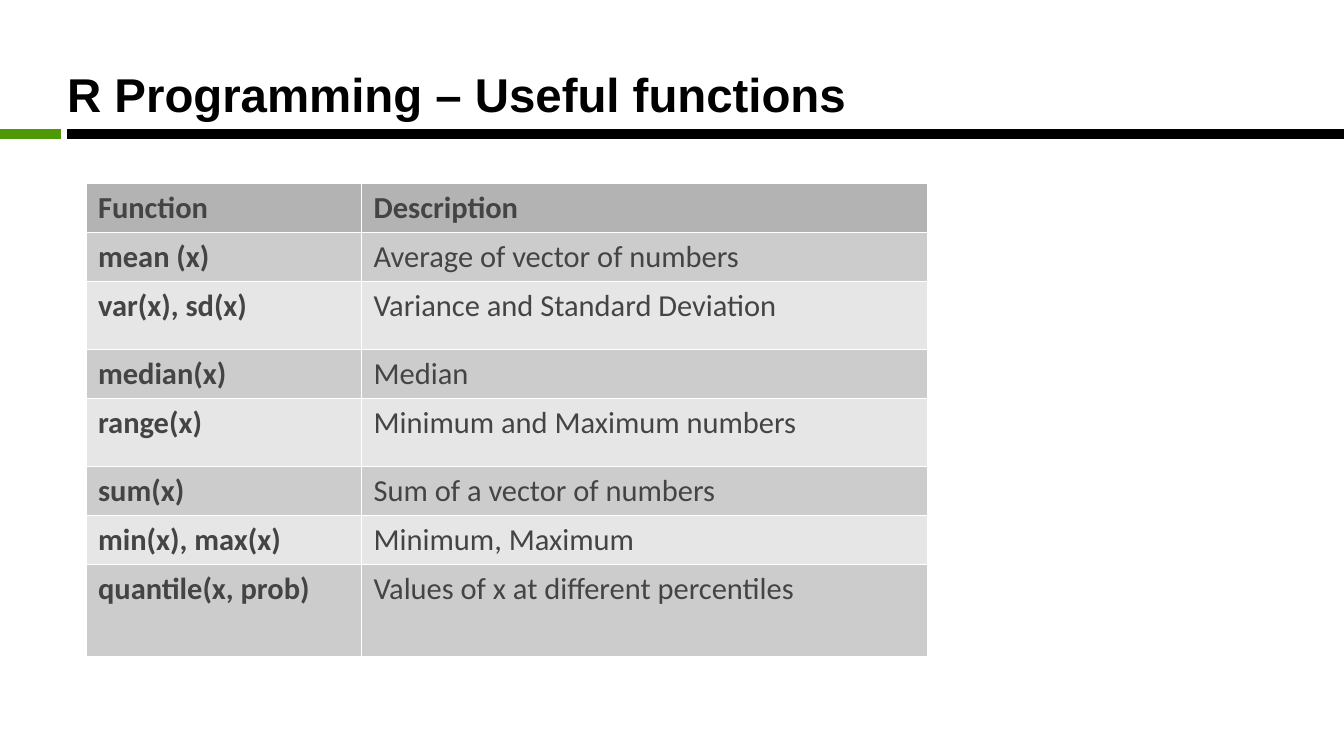
"""Build the slide on useful R functions: a ruled title above a function table."""
from lxml import etree
from pptx import Presentation
from pptx import util as u
from pptx.dml.color import RGBColor
from pptx.enum import shapes, text
from pptx.oxml import ns

BLACK = RGBColor(0x00, 0x00, 0x00)
GREEN = RGBColor(0x4E, 0x9A, 0x06)
INK = RGBColor(0x44, 0x44, 0x44)
HEADER_GREY = RGBColor(0xB3, 0xB3, 0xB3)
DARK_GREY = RGBColor(0xCC, 0xCC, 0xCC)
LIGHT_GREY = RGBColor(0xE6, 0xE6, 0xE6)
WHITE = RGBColor(0xFF, 0xFF, 0xFF)

SHORT, MEDIUM, TALL = 1.02, 1.42, 1.9
FUNCTIONS = [
    ("Function", "Description", SHORT),
    ("mean (x)", "Average of vector of numbers", SHORT),
    ("var(x), sd(x)", "Variance and Standard Deviation", MEDIUM),
    ("median(x)", "Median", SHORT),
    ("range(x)", "Minimum and Maximum numbers", MEDIUM),
    ("sum(x)", "Sum of a vector of numbers", SHORT),
    ("min(x), max(x)", "Minimum, Maximum", SHORT),
    ("quantile(x, prob)", "Values of x at different percentiles", TALL),
]


def add_border(cell, color, width):
    properties = cell._tc.get_or_add_tcPr()
    for side in ("a:lnL", "a:lnR", "a:lnT", "a:lnB"):
        edge = etree.SubElement(properties, ns.qn(side), w=str(width))
        fill = etree.SubElement(edge, ns.qn("a:solidFill"))
        etree.SubElement(fill, ns.qn("a:srgbClr"), val=str(color))


deck = Presentation()
deck.slide_width, deck.slide_height = u.Cm(28), u.Cm(15.75)
slide = deck.slides.add_slide(deck.slide_layouts[6])

title = slide.shapes.add_textbox(u.Cm(1.4), u.Cm(0.64), u.Cm(25.2), u.Cm(2.62)).text_frame
title.word_wrap = True
title.vertical_anchor = text.MSO_ANCHOR.MIDDLE
title.margin_left = title.margin_right = title.margin_top = title.margin_bottom = 0
heading = title.paragraphs[0]
heading.text = "R Programming – Useful functions"
heading.font.name = "Arial"
heading.font.size = u.Pt(28)
heading.font.bold = True
heading.font.color.rgb = BLACK

for start, end, color in [(1.4, 28, BLACK), (1.27, 0, GREEN)]:
    rule = slide.shapes.add_connector(
        shapes.MSO_CONNECTOR.STRAIGHT, u.Cm(start), u.Cm(2.79), u.Cm(end), u.Cm(2.79))
    rule.line.color.rgb = color
    rule.line.width = u.Pt(6)
    etree.SubElement(rule._element.spPr, ns.qn("a:effectLst"))

table_height = sum(height for *_, height in FUNCTIONS)
function_table = slide.shapes.add_table(
    len(FUNCTIONS), 2, u.Cm(1.79), u.Cm(3.82), u.Cm(17.53), u.Cm(table_height)).table
function_table.columns[0].width = u.Cm(5.74)
function_table.columns[1].width = u.Cm(11.79)

for row, (function, description, height) in enumerate(FUNCTIONS):
    function_table.rows[row].height = u.Cm(height)
    band = HEADER_GREY if row == 0 else DARK_GREY if row % 2 else LIGHT_GREY
    for column, wording in enumerate((function, description)):
        cell = function_table.cell(row, column)
        add_border(cell, WHITE, u.Pt(0.06))
        cell.fill.solid()
        cell.fill.fore_color.rgb = band
        entry = cell.text_frame.paragraphs[0]
        entry.text = wording
        entry.font.name = "Calibri"
        entry.font.size = u.Pt(18)
        entry.font.bold = row == 0 or column == 0
        entry.font.color.rgb = INK

deck.save("out.pptx")
